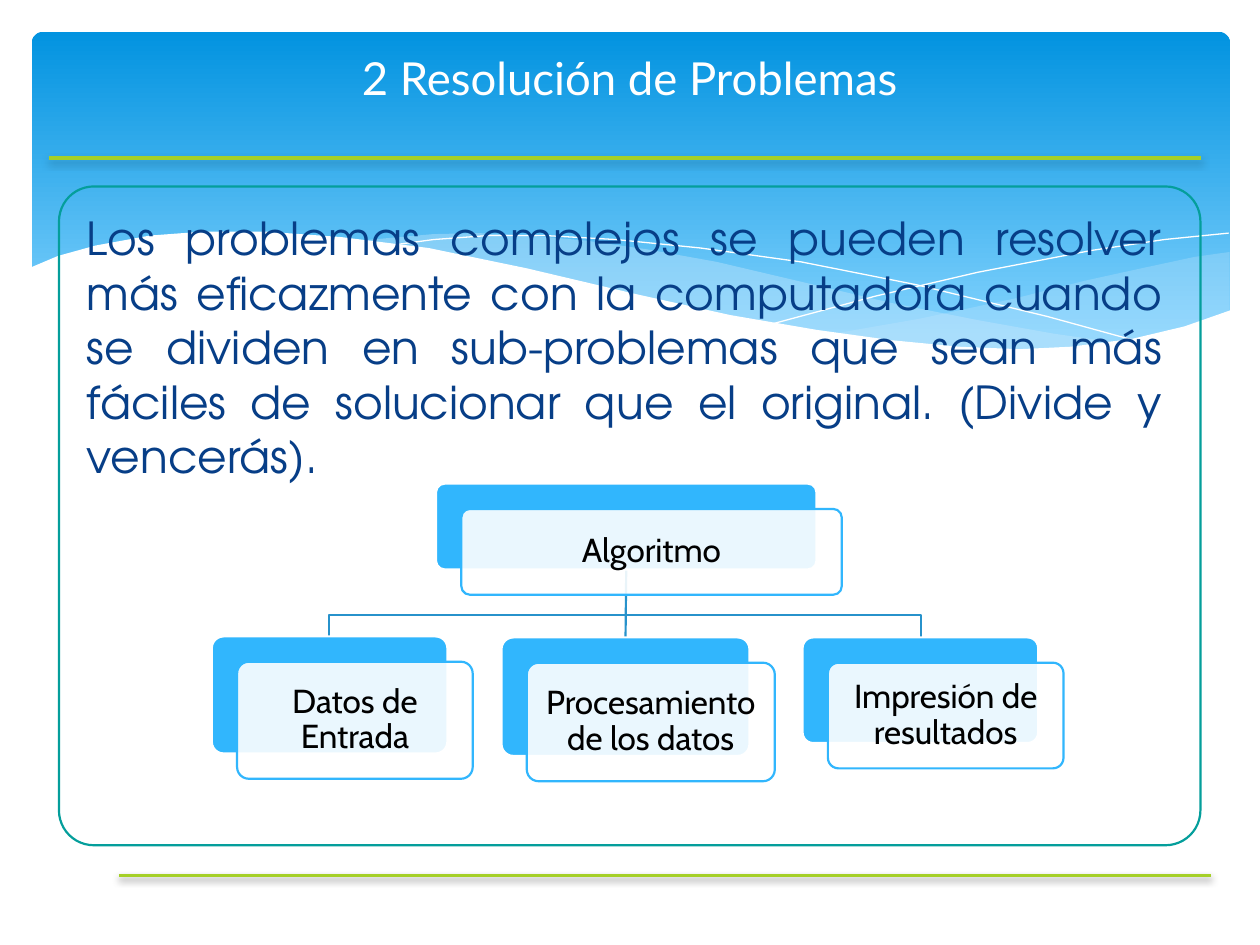
from dataclasses import dataclass

from lxml import etree
from pptx import Presentation
from pptx import util as u
from pptx.dml.color import RGBColor
from pptx.enum import shapes, text
from pptx.oxml import ns

WHITE = RGBColor(0xFF, 0xFF, 0xFF)
BLACK = RGBColor(0x00, 0x00, 0x00)
DEEP = RGBColor(0x02, 0x93, 0xE0)
PALE = RGBColor(0x83, 0xD3, 0xFE)
MIST = RGBColor(0xC6, 0xE7, 0xFC)
LIME = RGBColor(0xA5, 0xD0, 0x28)
TEAL = RGBColor(0x04, 0x9E, 0x9B)
NAVY = RGBColor(0x07, 0x3E, 0x87)
SKY = RGBColor(0x31, 0xB6, 0xFD)
STEEL = RGBColor(0x27, 0x92, 0xCB)


@dataclass
class Wave:
    pts: list[tuple[float, float]]
    fill: RGBColor | None = None
    alpha: int = 100


@dataclass
class Card:
    label: str
    x: float
    y: float
    w: float
    h: float

    @property
    def mid(self) -> float:
        return self.x + self.w / 2


WAVES = [
    Wave([(24.79, 5.08), (24.08, 5.18), (23.01, 5.41), (21.87, 5.66),
          (20.45, 6.02), (18.52, 6.43), (16.79, 6.73), (17.91, 6.88),
          (19.23, 7.01), (20.68, 7.06), (21.92, 6.99), (22.99, 6.83),
          (23.93, 6.58), (24.79, 6.27)], MIST, 29),
    Wave([(22.68, 6.93), (21.26, 6.73), (19.69, 6.45), (17.93, 6.1),
          (15.98, 5.64), (14.45, 5.28), (13.06, 5.03), (11.81, 4.85),
          (10.67, 4.75), (9.65, 4.7), (8.74, 4.72), (7.26, 4.85),
          (8.69, 5.05), (10.26, 5.36), (11.4, 5.64), (13.46, 6.1),
          (15.27, 6.48), (16.89, 6.76), (18.34, 6.96), (19.63, 7.04),
          (20.78, 7.06), (21.77, 7.04)], MIST, 40),
    Wave([(7.85, 4.95), (8.74, 4.83), (9.83, 4.75), (11, 4.75),
          (12.42, 4.83), (14.12, 5), (16.15, 5.28), (18.47, 5.74),
          (21.11, 6.38), (23.04, 6.91)]),
    Wave([(15.57, 6.53), (17.65, 5.97), (19.71, 5.49), (22, 5.05),
          (23.47, 4.83), (24.77, 4.7)]),
    Wave([(24.82, 6.25), (23.88, 6.58), (22.83, 6.83), (21.59, 6.99),
          (20.55, 7.04), (19.33, 6.99), (17.98, 6.86), (16.46, 6.65),
          (14.71, 6.35), (12.78, 5.92), (10.62, 5.41), (8.64, 5),
          (6.88, 4.78), (5.36, 4.67), (4.09, 4.67), (3.02, 4.75),
          (1.93, 4.95), (1.17, 5.16), (0.58, 5.41), (0.58, 8.36),
          (24.82, 8.36)], WHITE),
]
ROOT = Card("Algoritmo", 8.79, 9.75, 7.67, 1.73)
LEAVES = [
    Card("Datos de Entrada", 4.27, 12.83, 4.75, 2.36),
    Card("Procesamiento de los datos", 10.11, 12.85, 5, 2.39),
    Card("Impresión de resultados", 16.18, 12.85, 4.75, 2.13),
]
SHIFT = 0.51
BUS = 12.4


def fade(shape, alpha: int) -> None:
    color = shape.fill._xPr.find(ns.qn("a:solidFill"))[0]
    etree.SubElement(color, ns.qn("a:alpha"), val=str(alpha * 1000))


def paint(shape, fill=None, line=None, width=1.25, alpha=100) -> None:
    shape.shadow.inherit = False
    if fill is None:
        shape.fill.background()
    else:
        shape.fill.solid()
        shape.fill.fore_color.rgb = fill
        if alpha < 100:
            fade(shape, alpha)
    if line is None:
        shape.line.fill.background()
    else:
        shape.line.color.rgb = line
        shape.line.width = u.Pt(width)


def write(shape, words: str, *, font: str, size: float, color: RGBColor,
          align=text.PP_ALIGN.CENTER, anchor=text.MSO_ANCHOR.MIDDLE,
          before=0, space=1.0, inset=None) -> None:
    frame = shape.text_frame
    frame.word_wrap = True
    frame.auto_size = text.MSO_AUTO_SIZE.NONE
    frame.vertical_anchor = anchor
    if inset is not None:
        frame.margin_left = frame.margin_right = u.Cm(inset)
        frame.margin_top = frame.margin_bottom = u.Cm(inset)
    para = frame.paragraphs[0]
    para.alignment = align
    para.space_before = u.Pt(before)
    para.line_spacing = space
    run = para.add_run()
    run.text = words
    run.font.name = font
    run.font.size = u.Pt(size)
    run.font.color.rgb = color


def block(slide, x: float, y: float, w: float, h: float, adj: float):
    box = slide.shapes.add_shape(shapes.MSO_SHAPE.ROUNDED_RECTANGLE,
                                 u.Cm(x), u.Cm(y), u.Cm(w), u.Cm(h))
    box.adjustments[0] = adj
    return box


def trace(slide, pts: list[tuple[float, float]], close: bool):
    dots = [(round(x * 100), round(y * 100)) for x, y in pts]
    pen = slide.shapes.build_freeform(*dots[0], scale=u.Cm(0.01))
    pen.add_line_segments(dots[1:], close=close)
    return pen.convert_to_shape()


def wire(slide, x: float, y: float, end: float, foot: float,
         color: RGBColor, width: float, glow=False):
    line = slide.shapes.add_connector(shapes.MSO_CONNECTOR.STRAIGHT,
                                      u.Cm(x), u.Cm(y), u.Cm(end), u.Cm(foot))
    line.line.color.rgb = color
    line.line.width = u.Pt(width)
    fx = etree.SubElement(line.element.spPr, ns.qn("a:effectLst"))
    if glow:
        shade = etree.SubElement(fx, ns.qn("a:outerShdw"), dir="5400000",
                                 blurRad=str(u.Pt(4)), dist=str(u.Pt(2)),
                                 rotWithShape="0")
        tint = etree.SubElement(shade, ns.qn("a:srgbClr"), val=str(BLACK))
        etree.SubElement(tint, ns.qn("a:alpha"), val="38000")
    return line


def place(slide, card: Card):
    back = block(slide, card.x, card.y, card.w, card.h, 0.1)
    paint(back, SKY, WHITE)
    front = block(slide, card.x + SHIFT, card.y + SHIFT, card.w, card.h, 0.1)
    paint(front, WHITE, SKY, alpha=90)
    write(front, card.label, font="Cabin", size=19, color=BLACK,
          space=0.9, inset=0.2)
    return back


def banner(slide) -> None:
    band = block(slide, 0.64, 0.64, 24.16, 6.86, 0.034)
    paint(band)
    band.fill.gradient()
    band.fill.gradient_angle = 270
    for stop, color, pos in zip(band.fill.gradient_stops, (DEEP, PALE), (0, 0.9)):
        stop.color.rgb = color
        stop.position = pos
    for wave in WAVES:
        shape = trace(slide, wave.pts, wave.fill is not None)
        paint(shape, wave.fill, None if wave.fill else WHITE, 0, wave.alpha)


def tree(slide) -> None:
    foot = ROOT.y + ROOT.h
    for leaf in (LEAVES[2], LEAVES[0]):
        path = [(ROOT.mid, foot), (ROOT.mid, BUS), (leaf.mid, BUS), (leaf.mid, leaf.y)]
        paint(trace(slide, path, False), line=STEEL)
    top = place(slide, ROOT)
    backs = [place(slide, leaf) for leaf in LEAVES]
    stem = wire(slide, ROOT.mid, foot, LEAVES[1].mid, LEAVES[1].y, STEEL, 1.25)
    stem.begin_connect(top, 2)
    stem.end_connect(backs[1], 0)
    top.element.addprevious(stem.element)


def main() -> None:
    deck = Presentation()
    deck.slide_width, deck.slide_height = u.Cm(25.4), u.Cm(19.05)
    slide = deck.slides.add_slide(deck.slide_layouts[5])
    banner(slide)
    wire(slide, 24.21, 3.18, 0.99, 3.18, LIME, 2, True)
    wire(slide, 24.41, 17.65, 2.39, 17.65, LIME, 2, True)
    paint(block(slide, 1.19, 3.76, 23.01, 13.28, 0.053), line=TEAL)

    body = slide.shapes.add_textbox(u.Cm(1.5), u.Cm(4.11), u.Cm(22.2), u.Cm(12.65))
    write(body, "Los problemas complejos se pueden resolver más eficazmente con la "
          "computadora cuando se dividen en sub-problemas que sean más fáciles de "
          "solucionar que el original. (Divide y vencerás).",
          font="TeX Gyre Adventor", size=26, color=NAVY, before=5,
          align=text.PP_ALIGN.JUSTIFY, anchor=text.MSO_ANCHOR.TOP)

    title = slide.shapes.title
    title.left, title.top = u.Cm(0), u.Cm(0)
    title.width, title.height = u.Cm(25.4), u.Cm(3.12)
    write(title, "2 Resolución de Problemas", font="Lato", size=26, color=WHITE)
    body.element.addnext(title.element)
    tree(slide)
    deck.save("out.pptx")


if __name__ == "__main__":
    main()
